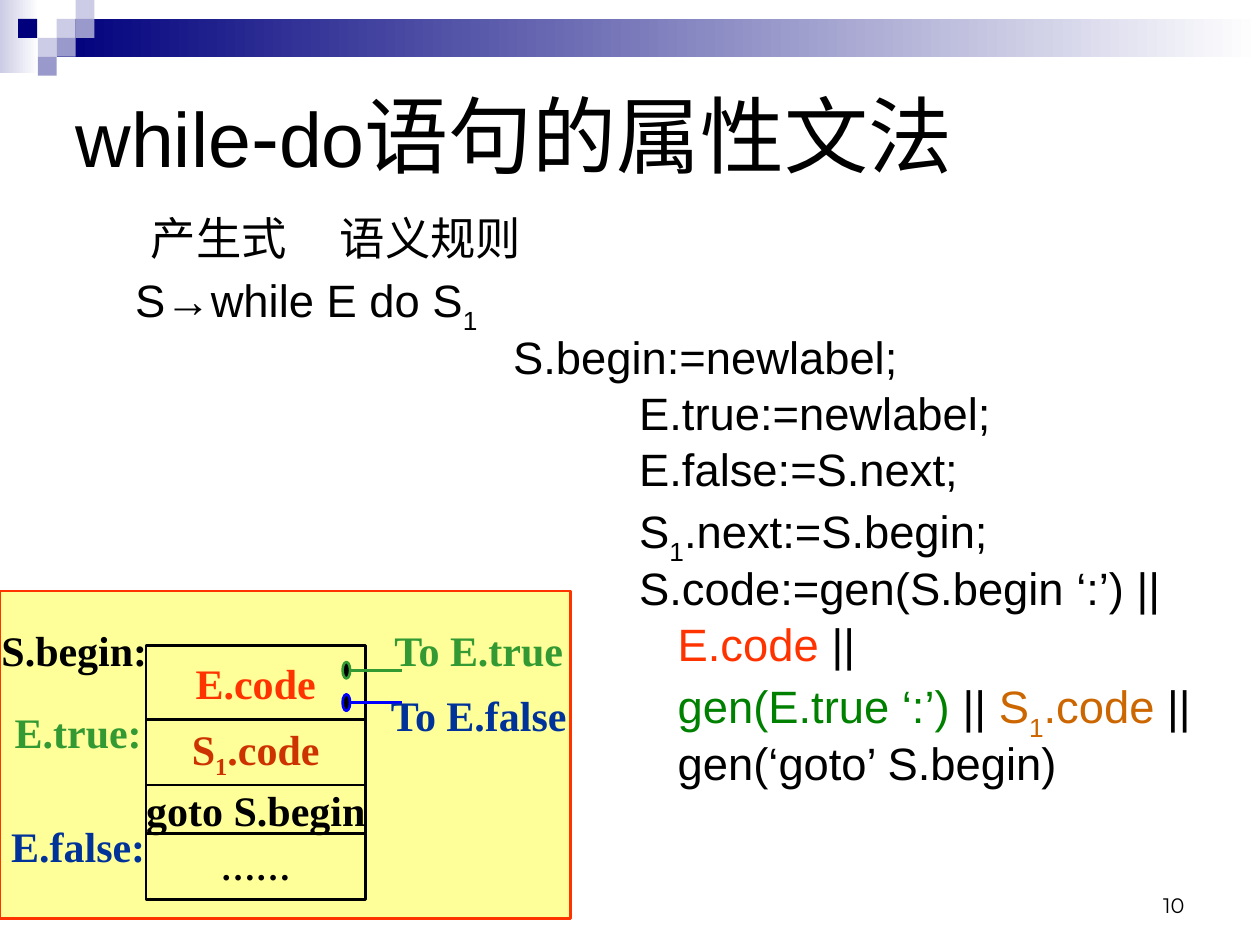
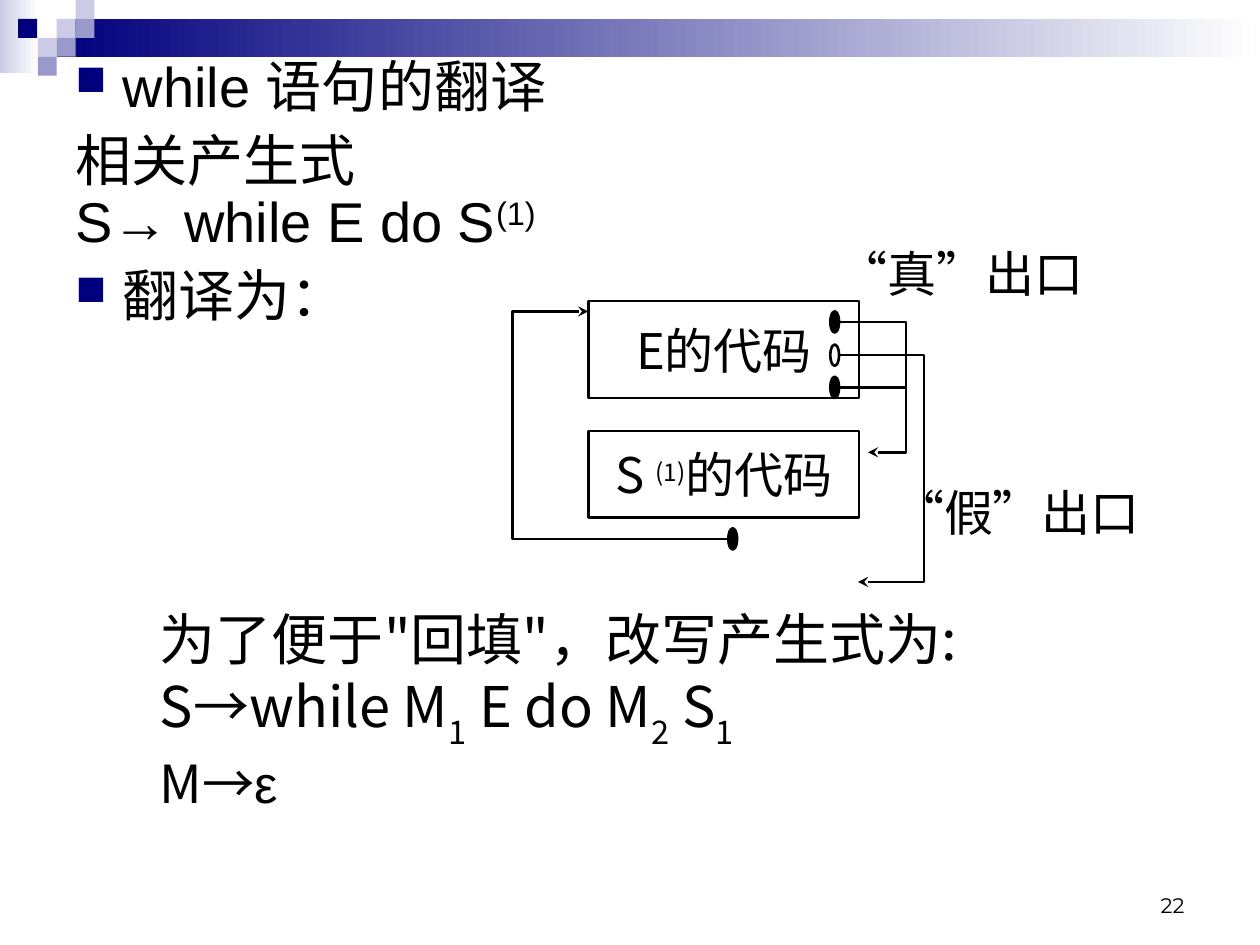
"""Build two slides on translating while statements."""
from dataclasses import dataclass
from itertools import accumulate
from typing import Any, NamedTuple, Optional

from lxml import etree
from pptx import Presentation
from pptx import util as u
from pptx.dml.color import RGBColor
from pptx.enum import shapes as kinds, text as txt
from pptx.oxml.ns import qn

Pt = u.Pt
BLACK, NAVY, LILAC, VIOLET, WHITE = "000000", "00007D", "CCCCE6", "9999CC", "FFFFFF"
RED, RUST, ORANGE, GREEN, DARK_GREEN = "FF3300", "CC3300", "CC6600", "339933", "008000"
BLUE, BRIGHT_BLUE, YELLOW = "003399", "0000FF", "FFFF99"
SANS, SERIF, CJK, NUMBER_FONT = "Arial", "Times New Roman", "Noto Sans CJK SC", "Montserrat"
LEFT, CENTER, RIGHT = txt.PP_ALIGN.LEFT, txt.PP_ALIGN.CENTER, txt.PP_ALIGN.RIGHT
TOP, MIDDLE, BOTTOM = txt.MSO_ANCHOR.TOP, txt.MSO_ANCHOR.MIDDLE, txt.MSO_ANCHOR.BOTTOM
RECT, OVAL = kinds.MSO_SHAPE.RECTANGLE, kinds.MSO_SHAPE.OVAL
LINE_WIDTH = 1.5
HANG = 27


class Box(NamedTuple):
    left: float
    top: float
    width: float
    height: float


class Run(NamedTuple):
    text: str
    color: str = BLACK
    base: int = 0
    size: Optional[float] = None
    font: Optional[str] = None


@dataclass
class Style:
    font: str
    size: float
    bold: bool = False


@dataclass
class Para:
    runs: list[Run]
    indent: float = 0
    before: float = 0
    spacing: float = 1.0
    align: Any = LEFT
    tabs: tuple[float, ...] = ()
    bullet: bool = False


class Square(NamedTuple):
    left: float
    top: float
    color: str


class Exit(NamedTuple):
    center: float
    label_top: float
    label: str
    text_color: str
    line_color: str


class Label(NamedTuple):
    left: float
    top: float
    text: str
    color: str


SQUARES = [Square(32.4, 10.8, LILAC), Square(43.2, 0, LILAC), Square(43.2, 10.8, VIOLET),
           Square(21.6, 21.6, LILAC), Square(10.4, 10.8, NAVY),
           Square(32.4, 21.6, VIOLET), Square(21.6, 32.4, VIOLET)]
DIAGRAM = Style(SERIF, 24, True)
FLOW = Style(CJK, 28)


def paint(color: str) -> RGBColor:
    """Turn a hex string into a colour."""
    return RGBColor.from_string(color)


def apply(target: Any, formats: dict[str, Any]) -> None:
    """Set every format value on the target."""
    for name, value in formats.items():
        setattr(target, name, value)


def place(box: Box) -> tuple[u.Length, ...]:
    """Convert a box in points to lengths."""
    return tuple(Pt(length) for length in box)


def add_bullet(properties: Any) -> None:
    """Give a paragraph a small navy square bullet."""
    color = etree.SubElement(properties, qn("a:buClr"))
    etree.SubElement(color, qn("a:srgbClr"), val=NAVY)
    etree.SubElement(properties, qn("a:buSzPct"), val="75000")
    etree.SubElement(properties, qn("a:buChar"), char="■")


def write(frame: Any, paras: list[Para], style: Style, anchor: Any = TOP,
          wrap: bool = True) -> None:
    """Fill a text frame with formatted paragraphs."""
    apply(frame, {"word_wrap": wrap, "vertical_anchor": anchor,
                  "auto_size": txt.MSO_AUTO_SIZE.NONE,
                  "margin_left": Pt(7.2), "margin_right": Pt(7.2),
                  "margin_top": Pt(3.6), "margin_bottom": Pt(3.6)})
    for index, para in enumerate(paras):
        paragraph = frame.add_paragraph() if index else frame.paragraphs[0]
        properties = paragraph._p.get_or_add_pPr()
        properties.set("marL", str(Pt(para.indent)))
        properties.set("indent", str(-Pt(para.indent) if para.bullet else 0))
        if para.bullet:
            add_bullet(properties)
        if para.tabs:
            stops = etree.SubElement(properties, qn("a:tabLst"))
            for stop in para.tabs:
                etree.SubElement(stops, qn("a:tab"), pos=str(Pt(stop)), algn="l")
        apply(paragraph, {"alignment": para.align, "line_spacing": para.spacing,
                          "space_before": Pt(para.before if index else 0)})
        for part in para.runs:
            run = paragraph.add_run()
            run.text = part.text
            apply(run.font, {"name": part.font or style.font, "bold": style.bold,
                             "size": Pt(part.size or style.size)})
            run.font.color.rgb = paint(part.color)
            run_properties = run._r.get_or_add_rPr()
            if part.base:
                run_properties.set("baseline", str(part.base * 1000))
            if max(part.text) >= "一":
                etree.SubElement(run_properties, qn("a:ea"), typeface=CJK)


def add_text(slide: Any, box: Box, paras: list[Para], style: Style,
             anchor: Any = TOP, wrap: bool = True) -> None:
    """Add a text box."""
    write(slide.shapes.add_textbox(*place(box)).text_frame, paras, style, anchor, wrap)


def add_label(slide: Any, box: Box, text: str, style: Style, color: str = BLACK) -> None:
    """Add a centred one-line label."""
    add_text(slide, box, [Para([Run(text, color)], align=CENTER)], style, MIDDLE, False)


def outline(shape: Any, color: str) -> None:
    """Draw a line of the common width."""
    shape.line.color.rgb = paint(color)
    shape.line.width = Pt(LINE_WIDTH)


def add_block(slide: Any, kind: Any, box: Box, fill: Optional[str] = None,
              line: Optional[str] = None) -> Any:
    """Add a preset shape with optional fill and line."""
    shape = slide.shapes.add_shape(kind, *place(box))
    shape.shadow.inherit = False
    if fill:
        shape.fill.solid()
        shape.fill.fore_color.rgb = paint(fill)
    else:
        shape.fill.background()
    if line:
        outline(shape, line)
    else:
        shape.line.fill.background()
    return shape


def add_cell(slide: Any, box: Box, runs: list[Run], style: Style) -> None:
    """Add an outlined code cell with centred text."""
    cell = add_block(slide, RECT, box, line=BLACK)
    write(cell.text_frame, [Para(runs, align=CENTER)], style, MIDDLE, False)


def add_fade(slide: Any, box: Box, color: str) -> None:
    """Add a band fading from a colour to white."""
    fill = add_block(slide, RECT, box).fill
    fill.gradient()
    fill.gradient_angle = 0
    for stop, position, shade in zip(fill.gradient_stops, (0, 1), (color, WHITE)):
        stop.position = position
        stop.color.rgb = paint(shade)


def add_wire(slide: Any, start: tuple[float, float], end: tuple[float, float],
             color: str) -> None:
    """Add a straight line."""
    ends = (Pt(value) for value in start + end)
    wire = slide.shapes.add_connector(kinds.MSO_CONNECTOR.STRAIGHT, *ends)
    outline(wire, color)
    etree.SubElement(wire._element.spPr, qn("a:effectLst"))


def add_jump(slide: Any, points: list[tuple[float, float]]) -> None:
    """Add a bent arrow through the points."""
    (x, y), *rest = [(Pt(x), Pt(y)) for x, y in points]
    builder = slide.shapes.build_freeform(x, y)
    builder.add_line_segments(rest, close=False)
    jump = builder.convert_to_shape()
    jump.shadow.inherit = False
    jump.fill.background()
    outline(jump, BLACK)
    etree.SubElement(jump._element.spPr.find(qn("a:ln")), qn("a:tailEnd"), type="stealth")


def add_frame(slide: Any, number: str) -> None:
    """Add the shared top band, squares and slide number."""
    add_fade(slide, Box(0, 0, 22.3, 41.8), LILAC)
    add_fade(slide, Box(32.4, 10.8, 687.6, 21.6), NAVY)
    for square in SQUARES:
        add_block(slide, RECT, Box(square.left, square.top, 10.8, 10.8), square.color)
    add_text(slide, Box(516, 492, 168, 36), [Para([Run(number)], align=RIGHT)],
             Style(NUMBER_FONT, 12), BOTTOM)


def add_layout_diagram(slide: Any) -> None:
    """Draw the code layout of the while-do statement."""
    add_block(slide, RECT, Box(0, 337.7, 326.2, 187.2), YELLOW, RED)
    cells = [(42, [Run("E.code", RED)]),
             (37.5, [Run("S", RUST), Run("1", RUST, -25), Run(".code", RUST)]),
             (28, [Run("goto S.begin")]),
             (37.5, [Run("……", size=20)])]
    tops = accumulate((height for height, _ in cells), initial=369)
    for top, (height, runs) in zip(tops, cells):
        add_cell(slide, Box(83.5, top, 125.3, height), runs, DIAGRAM)
    for way in [Exit(383, 355, "To E.true", GREEN, GREEN),
                Exit(401.5, 392.4, "To E.false", BLUE, BRIGHT_BLUE)]:
        add_wire(slide, (200, way.center), (229.7, way.center), way.line_color)
        add_block(slide, OVAL, Box(195.8, way.center - 4.7, 4.3, 9.4), BLACK, way.line_color)
        add_label(slide, Box(234.7, way.label_top, 77.8, 32.4), way.label, DIAGRAM,
                  way.text_color)
    for mark in [Label(3.6, 355, "S.begin:", BLACK), Label(5.8, 401.8, "E.true:", GREEN),
                 Label(5.8, 467.3, "E.false:", BLUE)]:
        add_label(slide, Box(mark.left, mark.top, 77.8, 32.4), mark.text, DIAGRAM, mark.color)


def add_grammar_slide(deck: Any) -> None:
    """Build the attribute grammar slide."""
    slide = deck.slides.add_slide(deck.slide_layouts[5])
    add_frame(slide, "10")
    title = slide.shapes.title
    apply(title, dict(zip(("left", "top", "width", "height"), place(Box(36, 36, 648, 80.6)))))
    write(title.text_frame, [Para([Run("while"), Run("-", size=48), Run("do"),
                                   Run("语句的属性文法", size=48)])], Style(SANS, 44), MIDDLE)
    rule, inner = 315, 337
    lines = [(HANG, [Run("S→while E do S"), Run("1", base=-30)]),
             (243, [Run("S.begin:=newlabel;")]),
             (rule, [Run("E.true:=newlabel;")]),
             (rule, [Run("E.false:=S.next;")]),
             (rule, [Run("S"), Run("1", base=-30), Run(".next:=S.begin;")]),
             (rule, [Run("S.code:=gen(S.begin ‘:’) ||")]),
             (inner, [Run("E.code", RED), Run(" ||")]),
             (inner, [Run("gen(E.true ‘:’)", DARK_GREEN), Run(" || "), Run("S", ORANGE),
                      Run("1", ORANGE, -30), Run(".code", ORANGE), Run(" ||")]),
             (inner, [Run("gen(‘goto’ S.begin)")])]
    heading = Para([Run("\t产生式\t语义规则")], spacing=0.8, tabs=(HANG, rule))
    rules = [Para(runs, indent, before=7, spacing=0.8) for indent, runs in lines]
    add_text(slide, Box(43.2, 122.4, 676.8, 341.3), [heading, *rules], Style(SANS, 25.9))
    add_layout_diagram(slide)


def add_flow_diagram(slide: Any) -> None:
    """Draw the jumps between the two code blocks."""
    add_cell(slide, Box(336.2, 172.1, 154.8, 55.4), [Run("E的代码")], FLOW)
    add_cell(slide, Box(336.2, 246.2, 154.8, 49.7),
             [Run("S "), Run("(1)", base=30, size=24), Run("的代码")], FLOW)
    add_jump(slide, [(480, 203), (528, 203), (528, 332.6), (490.3, 332.6)])
    add_jump(slide, [(480, 184), (517.7, 184), (517.7, 258.5), (496, 258.5)])
    add_wire(slide, (480, 221.4), (517.7, 221.4), BLACK)
    add_jump(slide, [(416, 308), (293, 308), (293, 178), (336.2, 178)])
    for x, y, fill in [(477, 203, None), (477, 184, BLACK), (477, 221.4, BLACK),
                       (418.7, 308, BLACK)]:
        add_block(slide, OVAL, Box(x - 2.5, y - 6.1, 5, 12.2), fill, BLACK)
    add_label(slide, Box(501.1, 134.6, 95.8, 43.2), "“真”出口", FLOW)
    add_label(slide, Box(533.5, 270.7, 95.8, 43.2), "“假”出口", FLOW)


def add_translation_slide(deck: Any) -> None:
    """Build the while translation slide."""
    slide = deck.slides.add_slide(deck.slide_layouts[6])
    add_frame(slide, "22")
    add_text(slide, Box(36, 30.2, 588.2, 174.2), [
        Para([Run("while 语句的翻译")], HANG, spacing=0.9, bullet=True),
        Para([Run("相关产生式")], before=8, spacing=0.9),
        Para([Run("S→ while E do S"), Run("(1)", base=30)], spacing=0.9),
        Para([Run("翻译为：")], HANG, before=8, spacing=0.9, bullet=True),
    ], Style(SANS, 32))
    add_flow_diagram(slide)
    add_text(slide, Box(84.2, 342, 534.2, 162), [
        Para([Run('为了便于"回填"，改写产生式为:')]),
        Para([Run("S→while M"), Run("1", base=-30), Run(" E do M"), Run("2", base=-30),
              Run(" S"), Run("1", base=-30)]),
        Para([Run("M→", size=30), Run("ε", size=30, font=SANS)]),
    ], Style(CJK, 32))


def main() -> None:
    """Build and save the deck."""
    deck = Presentation()
    apply(deck, {"slide_width": Pt(720), "slide_height": Pt(540)})
    add_grammar_slide(deck)
    add_translation_slide(deck)
    deck.save("out.pptx")


if __name__ == "__main__":
    main()
